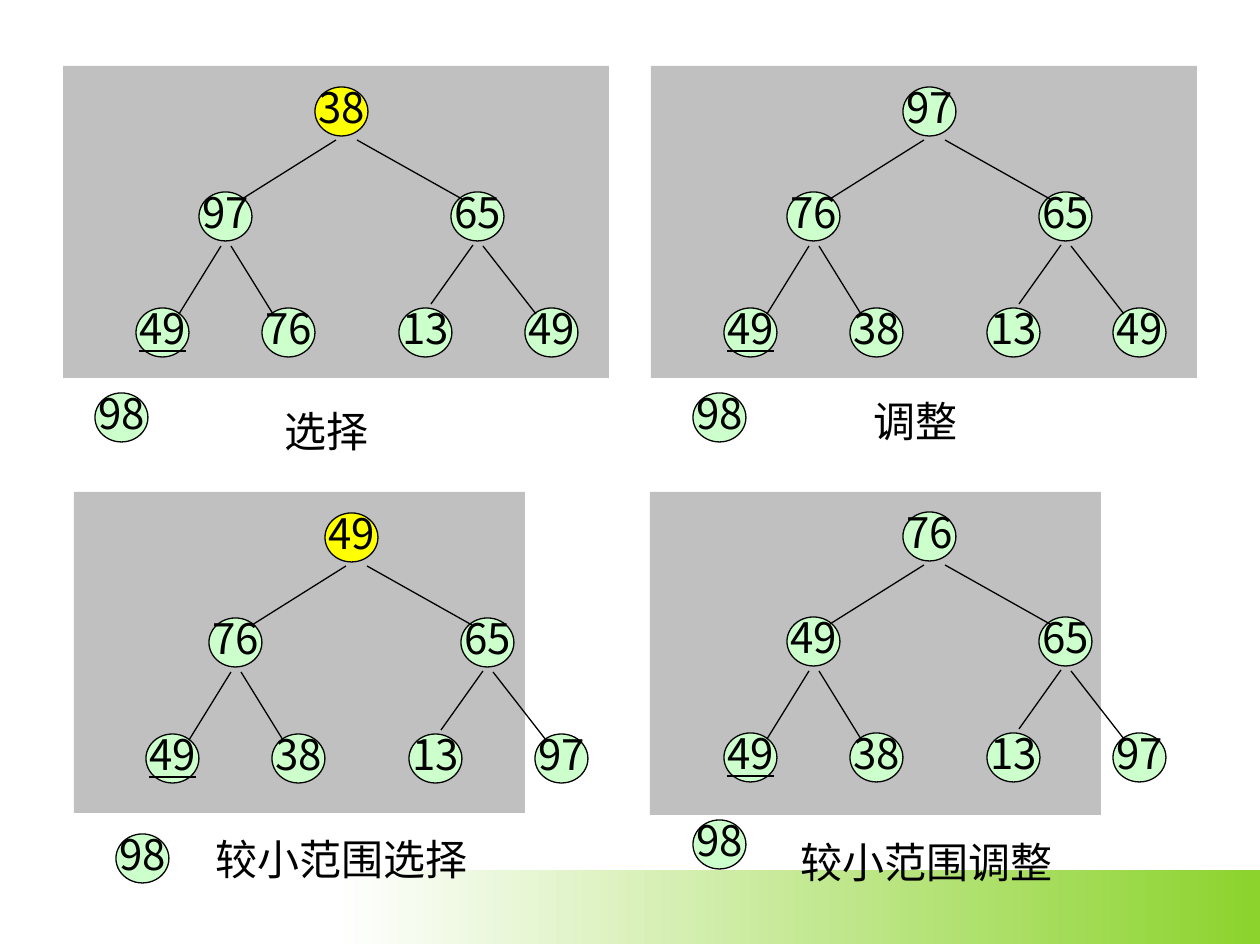
from lxml import etree
from pptx import Presentation
from pptx.dml.color import RGBColor
from pptx.enum.shapes import MSO_CONNECTOR, MSO_SHAPE
from pptx.enum.text import MSO_ANCHOR, PP_ALIGN
from pptx.oxml.ns import qn
from pptx.util import Pt

RECT, OVAL = MSO_SHAPE.RECTANGLE, MSO_SHAPE.OVAL
STRAIGHT = MSO_CONNECTOR.STRAIGHT
MIDDLE, CENTER = MSO_ANCHOR.MIDDLE, PP_ALIGN.CENTER
SCALE = 914400 / 126  # EMU per px
SANS, SERIF = "Noto Sans CJK SC", "Times New Roman"
GRAY, GREEN, YELLOW, BLACK = "C0C0C0", "CCFFCC", "FFFF00", "000000"

# Each heap: panel, root place, keys by level, root colour, sorted key, caption
HEAPS = [
    dict(panel=(63, 66, 546, 312), root=(315, 87), fill=YELLOW,
         keys=[38, 97, 65, 49, 76, 13, 49],
         done=(95, 393), label="选择", box=(272, 399, 158, 63)),
    dict(panel=(651, 66, 546, 312), root=(903, 87), fill=GREEN,
         keys=[97, 76, 65, 49, 38, 13, 49],
         done=(693, 393), label="调整", box=(861, 389, 158, 63)),
    dict(panel=(74, 492, 451, 321), root=(325, 513), fill=YELLOW,
         keys=[49, 76, 65, 49, 38, 13, 97],
         done=(116, 834), label="较小范围选择", box=(203, 827, 336, 63)),
    dict(panel=(650, 492, 451, 323), root=(903, 512), fill=GREEN,
         keys=[76, 49, 65, 49, 38, 13, 97],
         done=(693, 820), label="较小范围调整", box=(788, 830, 305, 63)),
]
DONE = 98
MARKED = 3  # the first leaf is underlined

# Offsets from the root, shared by all heaps
NODES = [(0, 0), (-116, 105), (136, 105),
         (-179, 221), (-53, 221), (84, 221), (210, 221)]
EDGES = [(21, 53, -73, 112), (42, 53, 147, 112),
         (-94, 159, -136, 227), (-84, 159, -42, 227),
         (158, 158, 116, 217), (168, 159, 221, 227)]
SIZE = (53, 49)


def emu(*vals):
    return [round(v * SCALE) for v in vals]


def rgb(code):
    return RGBColor.from_string(code)


def write(shape, text, font=SANS, size=24, color=BLACK, under=None,
          align=None, space=None, wrap=True):
    frame = shape.text_frame
    frame.word_wrap = wrap
    para = frame.paragraphs[0]
    para.alignment, para.line_spacing = align, space
    run = para.add_run()
    run.text = text
    run.font.name, run.font.size = font, Pt(size)
    run.font.underline = under
    run.font.color.rgb = rgb(color)


def draw(kind, box, fill=None):
    shape = slide.shapes.add_shape(kind, *emu(*box))
    shape.shadow.inherit = False
    shape.line.fill.background()
    if fill:
        shape.fill.solid()
        shape.fill.fore_color.rgb = rgb(fill)
    return shape


def outline(line):
    line.color.rgb = rgb(BLACK)
    line.width = Pt(0.75)


def node(key, x, y, fill=GREEN, under=None):
    shape = draw(OVAL, (x, y, *SIZE), fill)
    outline(shape.line)
    shape.text_frame.vertical_anchor = MIDDLE
    write(shape, str(key), under=under, align=CENTER, space=0.8, wrap=False)


def edge(*ends):
    link = slide.shapes.add_connector(STRAIGHT, *emu(*ends))
    outline(link.line)
    etree.SubElement(link._element.spPr, qn("a:effectLst"))


prs = Presentation()
prs.slide_width, prs.slide_height = emu(1260, 945)
slide = prs.slides.add_slide(prs.slide_layouts[6])

# Bottom band
band = draw(RECT, (336, 870, 924, 74))
band.fill.gradient()
band.fill.gradient_angle = 0
for stop, code in zip(band.fill.gradient_stops, ("FFFFFF", "8CD32D")):
    stop.color.rgb = rgb(code)

# Heaps
for heap in HEAPS:
    draw(RECT, heap["panel"], GRAY)
    x, y = heap["root"]
    for i, (key, (dx, dy)) in enumerate(zip(heap["keys"], NODES)):
        node(key, x + dx, y + dy, GREEN if i else heap["fill"],
             True if i == MARKED else None)
    for x1, y1, x2, y2 in EDGES:
        edge(x + x1, y + y1, x + x2, y + y2)
    node(DONE, *heap["done"])
    label = slide.shapes.add_textbox(*emu(*heap["box"]))
    write(label, heap["label"], font=SERIF)

prs.save("out.pptx")
